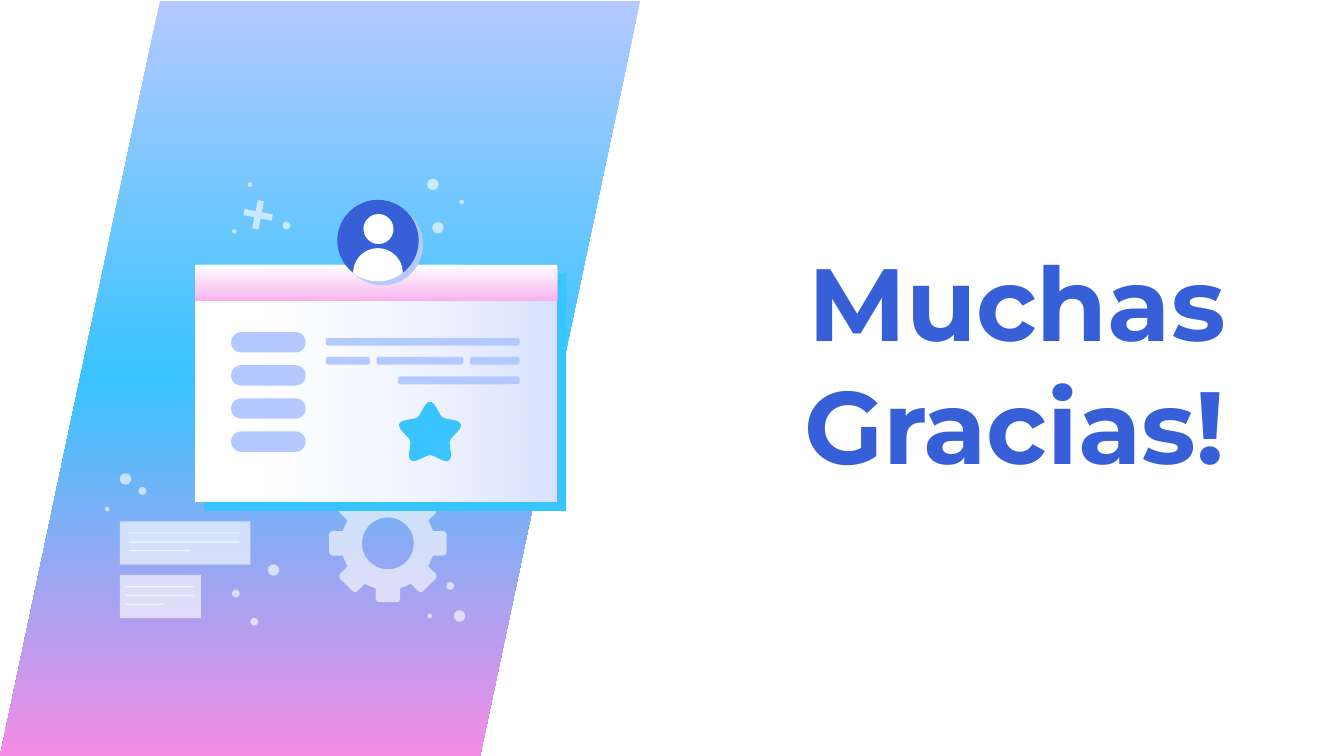
import math
from dataclasses import dataclass
from typing import Optional

import pptx
import pptx.dml.color
import pptx.enum.shapes
import pptx.enum.text
import pptx.oxml
import pptx.oxml.ns
import pptx.util
from lxml import etree

Pt = pptx.util.Pt
RGBColor = pptx.dml.color.RGBColor
Kind = pptx.enum.shapes.MSO_SHAPE
qn = pptx.oxml.ns.qn
Point = tuple[float, float]

WHITE = RGBColor(0xFF, 0xFF, 0xFF)
LAVENDER = RGBColor(0xB3, 0xC9, 0xFF)
SKY = RGBColor(0x39, 0xC4, 0xFF)
PINK = RGBColor(0xF4, 0x8C, 0xE6)
ROYAL = RGBColor(0x37, 0x5F, 0xD8)
BLUE = RGBColor(0x4A, 0x77, 0xFF)
VEIL = 63  # opacity, in percent, of the decoration


@dataclass(frozen=True)
class Box:
    left: float
    top: float
    width: float
    height: float


@dataclass(frozen=True)
class Stop:
    position: int
    color: RGBColor
    opacity: int = 100


@dataclass(frozen=True)
class Dot:
    x: float
    y: float
    size: float


SMALL, MEDIUM, LARGE = 2.4, 4.2, 6.1
DOTS = [
    Dot(241.2, 313.9, MEDIUM), Dot(246.2, 330, LARGE), Dot(230.2, 330, SMALL),
    Dot(76.3, 263, MEDIUM), Dot(67.2, 256.6, LARGE), Dot(57.4, 272.7, SMALL),
    Dot(136.2, 333.1, MEDIUM), Dot(126.4, 318, MEDIUM), Dot(146.6, 305.4, LARGE),
    Dot(234.6, 122, LARGE), Dot(247.3, 108.2, SMALL), Dot(231.9, 98.8, LARGE),
    Dot(125.5, 124, SMALL), Dot(153.5, 120.8, MEDIUM), Dot(133.9, 98.9, SMALL),
]
# Each note: its sheet, then the left margin, full and last line widths
NOTES = [
    (Box(64.2, 279.3, 70, 23.2), 5, 59, 33),
    (Box(64.2, 308, 43.4, 23.2), 3.2, 36.4, 20.2),
]
CARD = Box(104.5, 142, 194, 127)
CARD_HEADER = Box(CARD.left, CARD.top, CARD.width, 19.1)
PILLS = [Box(123.8, 177.9 + 17.75 * row, 40, 10.9) for row in range(4)]
BARS = [
    Box(174.6, 181, 103.8, 4.2),
    Box(174.6, 191.2, 23.5, 4.2),
    Box(201.7, 191.2, 46.4, 4.2),
    Box(251.7, 191.2, 26.7, 4.2),
    Box(213.3, 201.7, 65.1, 4.2),
]


def set_opacity(color_element, percent: int) -> None:
    if percent < 100:
        etree.SubElement(color_element, qn("a:alpha"), val=str(percent * 1000))


def paint(shape, color: RGBColor, opacity: int = 100) -> None:
    shape.shadow.inherit = False
    shape.line.fill.background()
    shape.fill.solid()
    shape.fill.fore_color.rgb = color
    set_opacity(shape.element.spPr.find(f"{qn('a:solidFill')}/{qn('a:srgbClr')}"), opacity)


def paint_gradient(shape, stops: list[Stop], angle: float) -> None:
    """Fill with a linear gradient; the angle runs counter-clockwise."""
    shape.shadow.inherit = False
    shape.line.fill.background()
    shape.fill.gradient()
    shape.fill.gradient_angle = angle
    stop_list = shape.element.spPr.find(f"{qn('a:gradFill')}/{qn('a:gsLst')}")
    for old_stop in list(stop_list):
        stop_list.remove(old_stop)
    for stop in stops:
        entry = etree.SubElement(stop_list, qn("a:gs"), pos=str(stop.position * 1000))
        color = etree.SubElement(entry, qn("a:srgbClr"), val=str(stop.color))
        set_opacity(color, stop.opacity)


def add_preset(page, kind, box: Box, adjustment: Optional[float] = None):
    shape = page.shapes.add_shape(
        kind, Pt(box.left), Pt(box.top), Pt(box.width), Pt(box.height))
    if adjustment is not None:
        shape.adjustments[0] = adjustment
    return shape


def add_disc(page, x: float, y: float, size: float, color: RGBColor, opacity: int = 100) -> None:
    box = Box(x - size / 2, y - size / 2, size, size)
    paint(add_preset(page, Kind.OVAL, box), color, opacity)


def add_outline(page, *contours: list[Point]):
    """Add one freeform; contours after the first cut holes."""
    scaled = [[(Pt(x), Pt(y)) for x, y in contour] for contour in contours]
    builder = page.shapes.build_freeform(*scaled[0][0])
    builder.add_line_segments(scaled[0][1:], close=True)
    for contour in scaled[1:]:
        builder.move_to(*contour[0])
        builder.add_line_segments(contour[1:], close=True)
    return builder.convert_to_shape()


def polar(x: float, y: float, radius: float, degrees: float) -> Point:
    angle = math.radians(degrees)
    return x + radius * math.cos(angle), y + radius * math.sin(angle)


def arc(x: float, y: float, radius: float, start: float, end: float) -> list[Point]:
    return [polar(x, y, radius, start + (end - start) * i / 48) for i in range(49)]


def round_corners(corners: list[Point], trims: list[float]) -> list[Point]:
    """Replace each corner by a curve that starts and ends its trim away."""
    points = []
    for i, (corner, trim) in enumerate(zip(corners, trims)):
        ends = []
        for neighbour in (corners[i - 1], corners[(i + 1) % len(corners)]):
            share = trim / math.dist(corner, neighbour)
            ends.append([c + (n - c) * share for c, n in zip(corner, neighbour)])
        for t in (j / 8 for j in range(9)):
            points.append(tuple(
                (1 - t) ** 2 * a + 2 * t * (1 - t) * c + t ** 2 * b
                for a, c, b in zip(ends[0], corner, ends[1])))
    return points


def add_gear(page, x: float, y: float) -> None:
    body, tip, half_tooth = 25, 31.5, 6.6
    foot = math.degrees(math.asin(half_tooth / body))
    crown = math.degrees(math.atan(half_tooth / tip))
    crown_radius = math.hypot(tip, half_tooth)
    corners, trims = [], []
    for tooth in range(0, 360, 45):
        corners += [polar(x, y, body, tooth - foot), polar(x, y, crown_radius, tooth - crown),
                    polar(x, y, crown_radius, tooth + crown), polar(x, y, body, tooth + foot)]
        trims += [0, 2.5, 2.5, 0]
    gear = add_outline(page, round_corners(corners, trims), arc(x, y, 13.9, 0, -360))
    paint(gear, WHITE, VEIL)


def add_star(page, x: float, y: float) -> None:
    corners = [polar(x, y, 10.8 if i % 2 else 20.5, 36 * i - 90) for i in range(10)]
    paint(add_outline(page, round_corners(corners, [7.2, 2.2] * 5)), SKY)


def add_note(page, sheet: Box, margin: float, full: float, last: float) -> None:
    paint(add_preset(page, Kind.RECTANGLE, sheet), WHITE, VEIL)
    for row, width in enumerate((full, full, last)):
        line = Box(sheet.left + margin, sheet.top + 5.9 + 4.75 * row, width, 0.8)
        paint(add_preset(page, Kind.RECTANGLE, line), WHITE, VEIL)


def add_card(page) -> None:
    shade = Box(CARD.left + 4.8, CARD.top + 4.8, CARD.width, CARD.height)
    paint(add_preset(page, Kind.RECTANGLE, shade), SKY)
    paint(add_preset(page, Kind.RECTANGLE, CARD), WHITE)
    paint_gradient(add_preset(page, Kind.RECTANGLE, CARD),
                   [Stop(0, WHITE, 0), Stop(100, BLUE, 22)], 0)
    paint(add_preset(page, Kind.RECTANGLE, CARD_HEADER), WHITE)
    for boxes, rounding in ((PILLS, 0.5), (BARS, 0.3)):
        for box in boxes:
            paint(add_preset(page, Kind.ROUNDED_RECTANGLE, box, rounding), LAVENDER)
    add_star(page, 230.4, 232.6)
    paint_gradient(add_preset(page, Kind.RECTANGLE, CARD_HEADER),
                   [Stop(0, WHITE, VEIL), Stop(100, PINK, VEIL)], 270)


def add_avatar(page, x: float, y: float) -> None:
    add_disc(page, x + 2.4, y + 2.2, 43.6, LAVENDER)
    add_disc(page, x, y, 43.6, ROYAL)
    add_disc(page, x + 0.3, y - 6.2, 16.1, WHITE)
    shoulders = arc(x, y + 17.4, 13.3, 180, 360) + arc(x, y, 21.9, 52.6, 127.4)
    paint(add_outline(page, shoulders), WHITE)


def add_title(page, text: str) -> None:
    title = page.shapes.title
    title.left, title.top, title.width, title.height = Pt(360), Pt(190.8), Pt(303.8), Pt(76.3)
    frame = title.text_frame
    frame.word_wrap = True
    frame.auto_size = pptx.enum.text.MSO_AUTO_SIZE.NONE
    frame.vertical_anchor = pptx.enum.text.MSO_ANCHOR.BOTTOM
    frame.margin_left = frame.margin_right = frame.margin_top = frame.margin_bottom = Pt(7.2)
    para = frame.paragraphs[0]
    para.alignment = pptx.enum.text.PP_ALIGN.RIGHT
    span = para.add_run()
    span.text = text
    span.font.name = "Montserrat"
    span.font.size = Pt(55)
    span.font.bold = True
    span.font.color.rgb = ROYAL


def main() -> None:
    deck = pptx.Presentation()
    deck.slide_width, deck.slide_height = Pt(720), Pt(405)
    page = deck.slides.add_slide(deck.slide_layouts[5])
    band = add_preset(page, Kind.PARALLELOGRAM, Box(0, 0.5, 342.9, 404.5), 0.25)
    paint_gradient(band, [Stop(0, LAVENDER), Stop(50, SKY), Stop(100, PINK)], 270)
    add_title(page, "Muchas Gracias!")
    add_gear(page, 207.8, 291.1)
    for dot in DOTS:
        add_disc(page, dot.x, dot.y, dot.size, WHITE, VEIL)
    for note in NOTES:
        add_note(page, *note)
    plus = add_preset(page, Kind.CROSS, Box(130.6, 107.4, 15.4, 15.4), 0.39)
    plus.rotation = 11
    paint(plus, WHITE, VEIL)
    add_card(page)
    add_avatar(page, 202.5, 128.9)
    deck.save("out.pptx")


if __name__ == "__main__":
    main()
